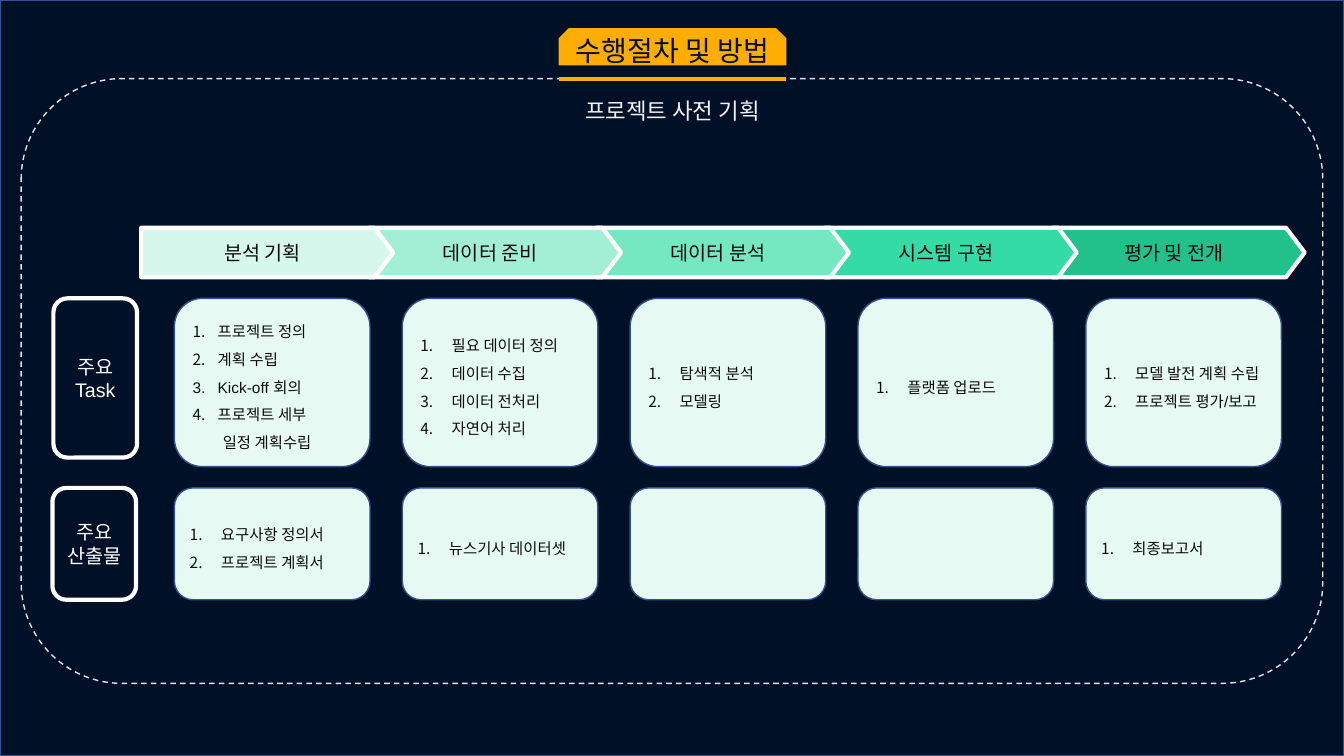
from lxml import etree
from pptx import Presentation
from pptx.dml.color import RGBColor
from pptx.enum.dml import MSO_LINE
from pptx.enum.shapes import MSO_CONNECTOR, MSO_SHAPE
from pptx.enum.text import MSO_ANCHOR, MSO_AUTO_SIZE, PP_ALIGN
from pptx.oxml.ns import qn
from pptx.util import Inches, Pt

RECT = MSO_SHAPE.RECTANGLE
ROUNDED = MSO_SHAPE.ROUNDED_RECTANGLE
PENTAGON = MSO_SHAPE.PENTAGON
SNIPPED = MSO_SHAPE.SNIP_2_SAME_RECTANGLE
STRAIGHT = MSO_CONNECTOR.STRAIGHT
DASH = MSO_LINE.DASH
MIDDLE = MSO_ANCHOR.MIDDLE
NO_FIT = MSO_AUTO_SIZE.NONE
LEFT, CENTER = PP_ALIGN.LEFT, PP_ALIGN.CENTER

COLORS = {
    "navy": "001027", "edge": "31538F", "dash": "E3E4E5", "white": "FFFFFF",
    "card": "E6FAF3", "ink": "0C0C0C", "amber": "FFAC03", "subtitle": "F2F2F2",
    "step1": "D5F7EC", "step2": "A3EFD6", "step3": "75E7C1",
    "step4": "35DBA4", "step5": "22C08B",
}
FONT = "Arial"
SLIDE_W, SLIDE_H = 13.33, 7.5
STEP_PITCH = 2.26
TASK_ROW = (2.96, 1.67)
OUTPUT_ROW = (4.84, 1.11)
STAGES = [
    ("분석 기획", "step1",
     ["프로젝트 정의", "계획 수립", "Kick-off 회의", "프로젝트 세부"],
     ["요구사항 정의서", "프로젝트 계획서"]),
    ("데이터 준비", "step2",
     ["필요 데이터 정의", "데이터 수집", "데이터 전처리", "자연어 처리"],
     ["뉴스기사 데이터셋"]),
    ("데이터 분석", "step3", ["탐색적 분석", "모델링"], []),
    ("시스템 구현", "step4", ["플랫폼 업로드"], []),
    ("평가 및 전개", "step5", ["모델 발전 계획 수립", "프로젝트 평가/보고"], ["최종보고서"]),
]
SCHEDULE_TAIL = "일정 계획수립"


def rgb(name):
    return RGBColor.from_string(COLORS[name])


def add_box(slide, kind, box, fill=None, line=None, width=1.0):
    shape = slide.shapes.add_shape(kind, *map(Inches, box))
    shape.shadow.inherit = False
    if fill:
        shape.fill.solid()
        shape.fill.fore_color.rgb = rgb(fill)
    else:
        shape.fill.background()
    if line:
        shape.line.color.rgb = rgb(line)
        shape.line.width = Pt(width)
    else:
        shape.line.fill.background()
    return shape


def write_lines(frame, lines, size, color, align=CENTER):
    frame.word_wrap = True
    frame.vertical_anchor = MIDDLE
    for index, line in enumerate(lines):
        paragraph = frame.paragraphs[0] if index == 0 else frame.add_paragraph()
        paragraph.alignment = align
        run = paragraph.add_run()
        run.text = line
        run.font.name = FONT
        run.font.size = Pt(size)
        run.font.color.rgb = rgb(color)


def indent(paragraph, margin, hanging=0):
    properties = paragraph._p.get_or_add_pPr()
    properties.set("marL", str(Inches(margin)))
    properties.set("indent", str(-Inches(hanging)))
    return properties


def add_frame(slide, box):
    add_box(slide, RECT, (0, 0, SLIDE_W, SLIDE_H), "navy", "edge")
    border = add_box(slide, ROUNDED, box, line="dash")
    border.line.dash_style = DASH


def add_heading(slide, box):
    left, top, width, height = box
    tab = add_box(slide, SNIPPED, box, "amber")
    tab.adjustments[0] = 0.274

    title = slide.shapes.title
    title.left, title.top = Inches(left), Inches(top + 0.03)
    title.width, title.height = Inches(width), Inches(height)
    title.text_frame.auto_size = NO_FIT
    write_lines(title.text_frame, ["수행절차 및 방법"], 20, "navy")
    slide.shapes._spTree.append(title._element)

    rule_y = Inches(top + 0.5)
    rule = slide.shapes.add_connector(
        STRAIGHT, Inches(left), rule_y, Inches(left + width), rule_y)
    rule.line.color.rgb = rgb("amber")
    rule.line.width = Pt(3)
    etree.SubElement(rule._element.spPr, qn("a:effectLst"))

    subtitle = slide.shapes.add_textbox(
        Inches(left - 0.75), Inches(top + 0.63), Inches(width + 1.5), Inches(0.37))
    write_lines(subtitle.text_frame, ["프로젝트 사전 기획"], 16, "subtitle")


def add_row_label(slide, box, lines):
    label = add_box(slide, ROUNDED, box, line="white", width=3)
    write_lines(label.text_frame, lines, 14, "white")


def add_card(slide, box, items, hanging, tail=None):
    card = add_box(slide, ROUNDED, box, "card", "edge")
    if not items:
        return
    frame = card.text_frame
    write_lines(frame, items + ([tail] if tail else []), 11, "ink", LEFT)
    for index, paragraph in enumerate(frame.paragraphs):
        paragraph.line_spacing = 1.5
        if index < len(items):
            properties = indent(paragraph, hanging, hanging)
            etree.SubElement(properties, qn("a:buAutoNum"), type="arabicPeriod")
        else:
            indent(paragraph, 0.3)


def add_stage(slide, left, stage, first):
    name, color, tasks, outputs = stage
    arrow = add_box(slide, PENTAGON, (left, 2.26, 2.5, 0.49), color, "white", 3)
    arrow.adjustments[0] = 0.378
    write_lines(arrow.text_frame, [name], 14, "ink")
    card_left, card_width = left + 0.33, 1.94
    add_card(slide, (card_left, TASK_ROW[0], card_width, TASK_ROW[1]), tasks,
             0.25 if first else 0.31, SCHEDULE_TAIL if first else None)
    add_card(slide, (card_left, OUTPUT_ROW[0], card_width, OUTPUT_ROW[1]),
             outputs, 0.31)


def build_procedure_slide(deck):
    slide = deck.slides.add_slide(deck.slide_layouts[5])
    add_frame(slide, (0.21, 0.78, 12.91, 6))
    add_row_label(slide, (0.53, TASK_ROW[0], 0.83, 1.58), ["주요", "Task"])
    add_row_label(slide, (0.52, OUTPUT_ROW[0], 0.83, OUTPUT_ROW[1]), ["주요", "산출물"])
    for index, stage in reversed(list(enumerate(STAGES))):
        add_stage(slide, 1.4 + index * STEP_PITCH, stage, index == 0)
    add_heading(slide, (5.54, 0.28, 2.26, 0.37))


def main():
    deck = Presentation()
    deck.slide_width, deck.slide_height = Inches(SLIDE_W), Inches(SLIDE_H)
    build_procedure_slide(deck)
    deck.save("out.pptx")


if __name__ == "__main__":
    main()
